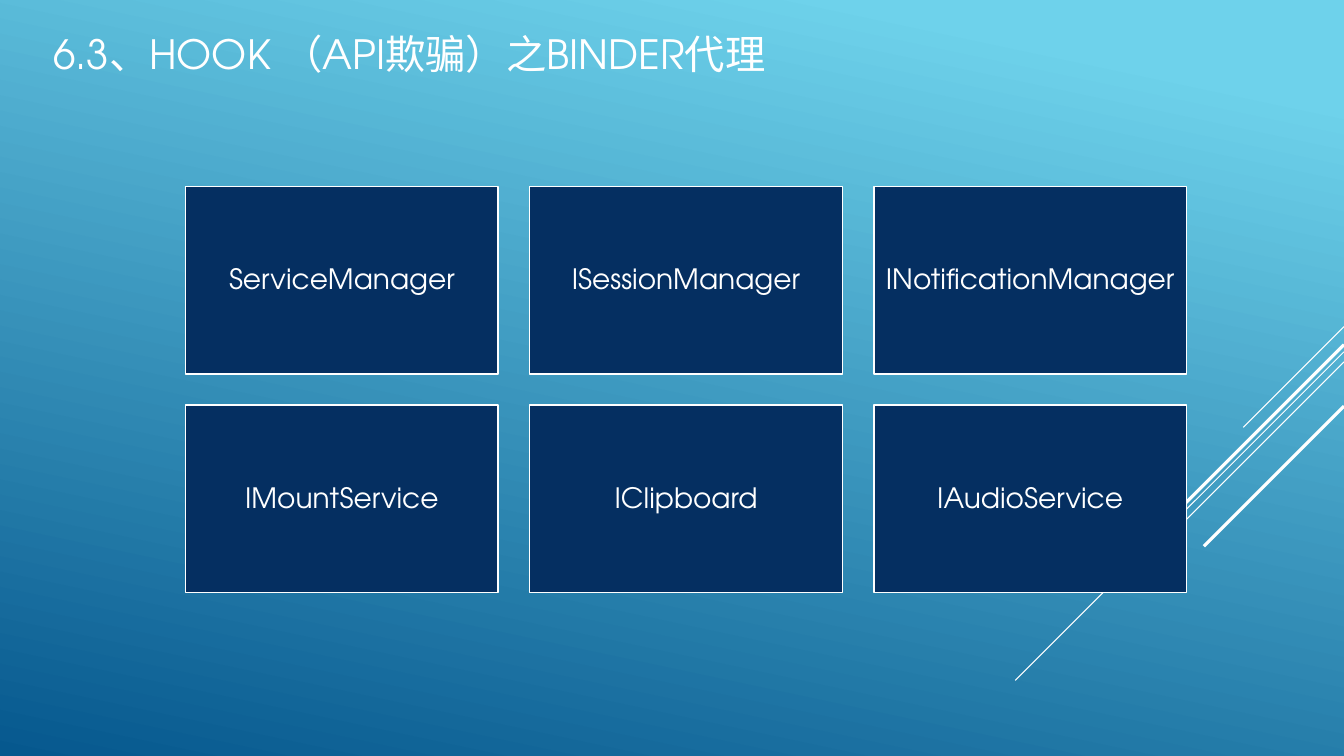
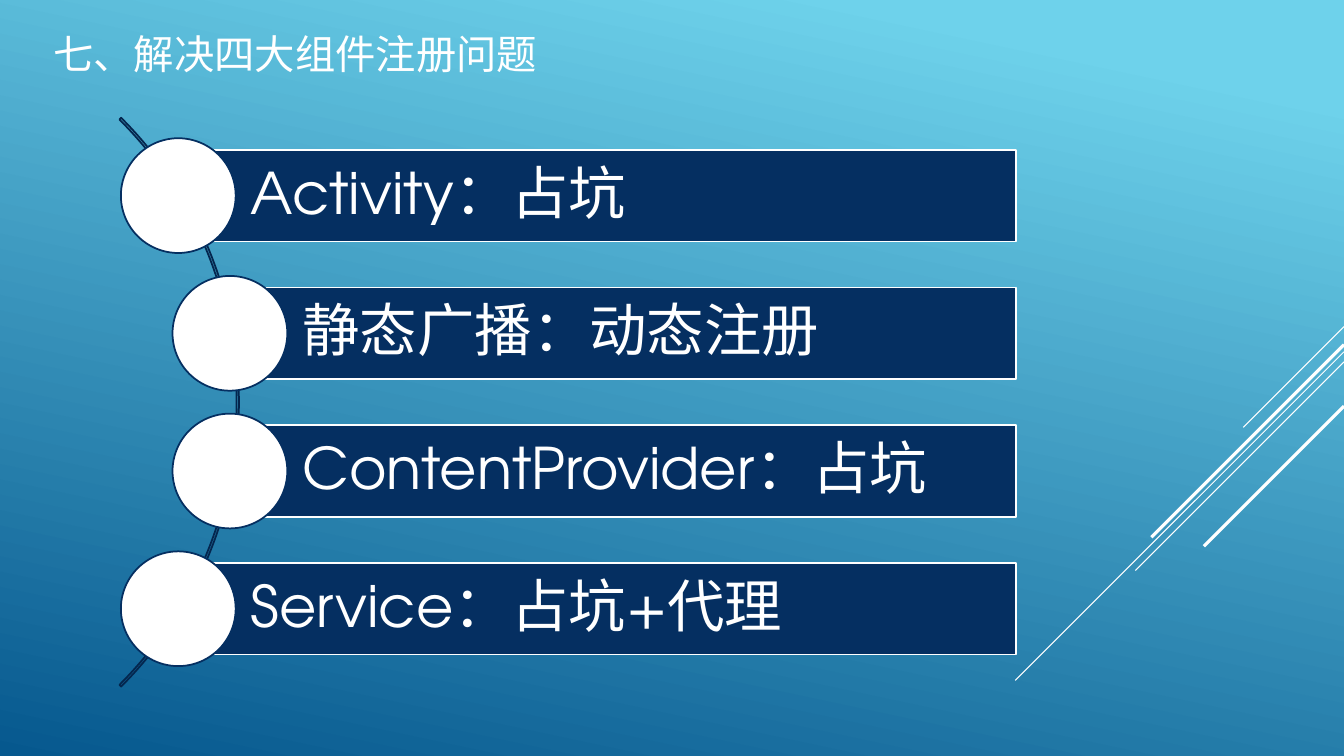
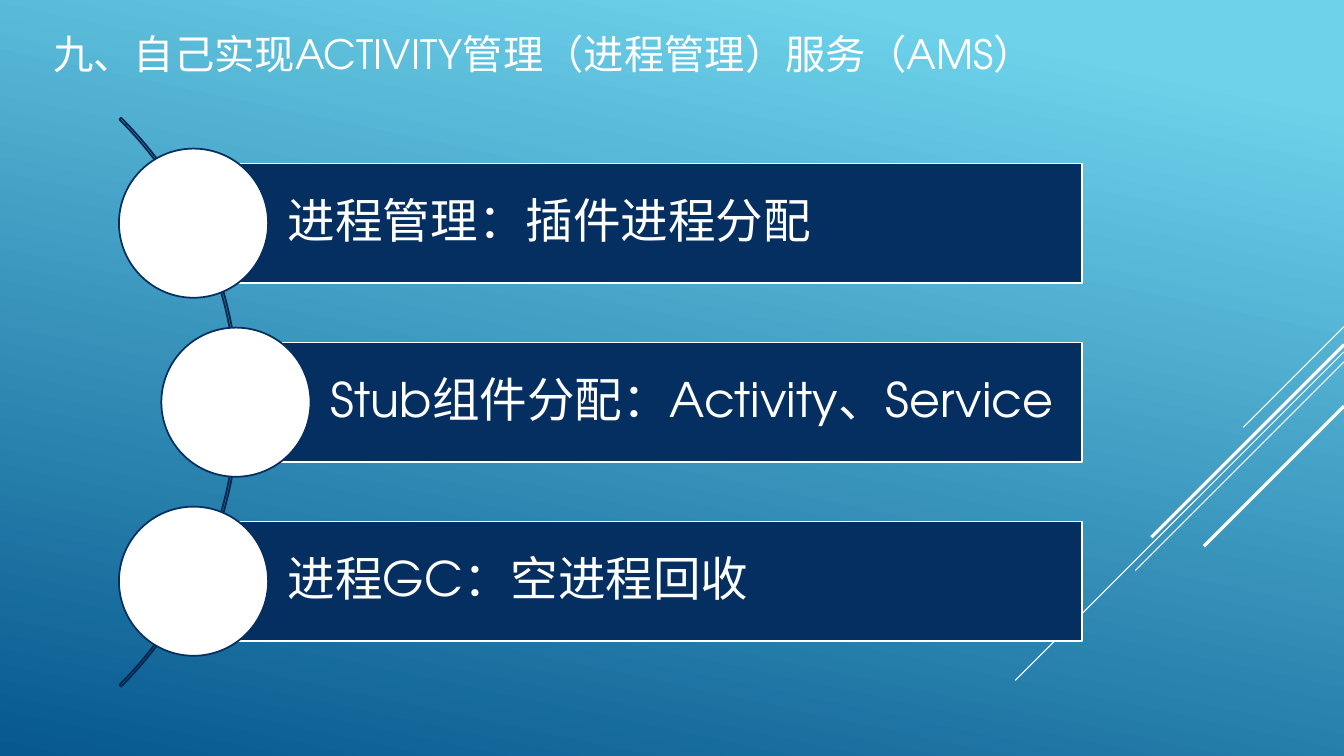
from math import sqrt

from lxml.etree import SubElement
from pptx import Presentation
from pptx.dml.color import RGBColor
from pptx.enum.shapes import MSO_CONNECTOR, MSO_SHAPE
from pptx.enum.text import MSO_ANCHOR, PP_ALIGN
from pptx.oxml.ns import qn
from pptx.util import Inches, Pt

FONT = "TeX Gyre Adventor"
WHITE = RGBColor(0xFF, 0xFF, 0xFF)
NAVY = RGBColor(0x05, 0x2F, 0x61)
DARK_NAVY = RGBColor(0x04, 0x26, 0x4E)
SKY = RGBColor(0x6E, 0xD2, 0xEB)
OCEAN = RGBColor(0x06, 0x58, 0x8E)

SLIDE_W, SLIDE_H = 13.33, 7.5
STRIPES = [
    (3.24, 1.0, 0.75),
    (3.49, 3.26, 0.75),
    (3.59, 2.07, 0.75),
    (3.42, 1.91, 2.25),
    (4.03, 1.39, 2.25),
]


def set_background(master):
    """Give every slide the sky-to-ocean gradient."""
    fill = master.background.fill
    fill.gradient()
    fill.gradient_angle = 258
    for stop, position, color in zip(fill.gradient_stops, (0.1, 1), (SKY, OCEAN)):
        stop.position = position
        stop.color.rgb = color


def write(shape, text, size, align=PP_ALIGN.LEFT, insets=(0.1, 0.05, 0.1, 0.05)):
    """Put one white, vertically centred paragraph in a shape."""
    tf = shape.text_frame
    tf.word_wrap = True
    tf.vertical_anchor = MSO_ANCHOR.MIDDLE
    tf.margin_left, tf.margin_top, tf.margin_right, tf.margin_bottom = map(Inches, insets)
    p = tf.paragraphs[0]
    p.text = text
    p.alignment = align
    p.line_spacing = 0.9
    p.font.name = FONT
    p.font.size = Pt(size)
    p.font.color.rgb = WHITE


def add_figure(s, kind, x, y, w, h, fill, line):
    """Add an outlined preset shape without a shadow."""
    sp = s.shapes.add_shape(kind, Inches(x), Inches(y), Inches(w), Inches(h))
    sp.shadow.inherit = False
    if fill is None:
        sp.fill.background()
    else:
        sp.fill.solid()
        sp.fill.fore_color.rgb = fill
    sp.line.color.rgb = line
    sp.line.width = Pt(1.25)
    return sp


def add_stripes(s):
    """Draw the 45-degree lines that run in from the right edge."""
    for y, run, width in STRIPES:
        line = s.shapes.add_connector(
            MSO_CONNECTOR.STRAIGHT,
            Inches(SLIDE_W), Inches(y), Inches(SLIDE_W - run), Inches(y + run),
        )
        line.line.color.rgb = WHITE
        line.line.width = Pt(width)
        SubElement(line.element.spPr, qn("a:effectLst"))


def add_slide(prs, title):
    """Add a slide with the shared stripes and title."""
    s = prs.slides.add_slide(prs.slide_layouts[6])
    add_stripes(s)
    box = s.shapes.add_textbox(Inches(0.43), Inches(0.25), Inches(11), Inches(0.61))
    write(box, title, 28.8)
    return s


def add_card_grid(s, labels, x, y, w, h, columns=3, gap=0.31):
    """Fill a box with equal cards, row by row."""
    rows = -(-len(labels) // columns)
    card_w = (w - (columns - 1) * gap) / columns
    card_h = (h - (rows - 1) * gap) / rows
    for i, label in enumerate(labels):
        row, column = divmod(i, columns)
        card = add_figure(
            s, MSO_SHAPE.RECTANGLE,
            x + column * (card_w + gap), y + row * (card_h + gap),
            card_w, card_h, NAVY, WHITE,
        )
        write(card, label, 20, PP_ALIGN.CENTER, (0.08,) * 4)


def add_arc_list(s, labels, right, size, center_x=-1.62, center_y=3.99, radius=3.99):
    """String bars with round markers along an arc, ending at the right edge given."""
    arc = add_figure(
        s, MSO_SHAPE.BLOCK_ARC, center_x - radius, center_y - radius,
        2 * radius, 2 * radius, None, DARK_NAVY,
    )
    for i, value in enumerate((189, 27, 0.003)):
        arc.adjustments[i] = value

    pitch = 5.92 / (len(labels) + 1 / 3)
    bar_h = pitch * 2 / 3
    marker = bar_h * 1.25
    for i, label in enumerate(labels):
        dy = (i - (len(labels) - 1) / 2) * pitch
        x = center_x + sqrt((radius - 0.03) ** 2 - dy ** 2)
        y = center_y + dy
        bar = add_figure(
            s, MSO_SHAPE.RECTANGLE, x, y - bar_h / 2, right - x, bar_h, NAVY, WHITE
        )
        write(bar, label, size, insets=(bar_h * 0.79, 0.1, 0.1, 0.1))
        add_figure(
            s, MSO_SHAPE.OVAL, x - marker / 2, y - marker / 2, marker, marker, WHITE, NAVY
        )


def main():
    """Build and save the three slides."""
    prs = Presentation()
    prs.slide_width, prs.slide_height = Inches(SLIDE_W), Inches(SLIDE_H)
    set_background(prs.slide_master)

    s = add_slide(prs, "6.3、HOOK （API欺骗）之BINDER代理")
    services = [
        "ServiceManager", "ISessionManager", "INotificationManager",
        "IMountService", "IClipboard", "IAudioService",
    ]
    add_card_grid(s, services, 1.84, 1.85, 9.93, 4.03)

    s = add_slide(prs, "七、解决四大组件注册问题")
    components = [
        "Activity：占坑", "静态广播：动态注册", "ContentProvider：占坑", "Service：占坑+代理",
    ]
    add_arc_list(s, components, 10.08, 41)

    s = add_slide(prs, "九、自己实现ACTIVITY管理（进程管理）服务（AMS）")
    duties = ["进程管理：插件进程分配", "Stub组件分配：Activity、Service", "进程GC：空进程回收"]
    add_arc_list(s, duties, 10.73, 34)

    prs.save("out.pptx")


if __name__ == "__main__":
    main()
